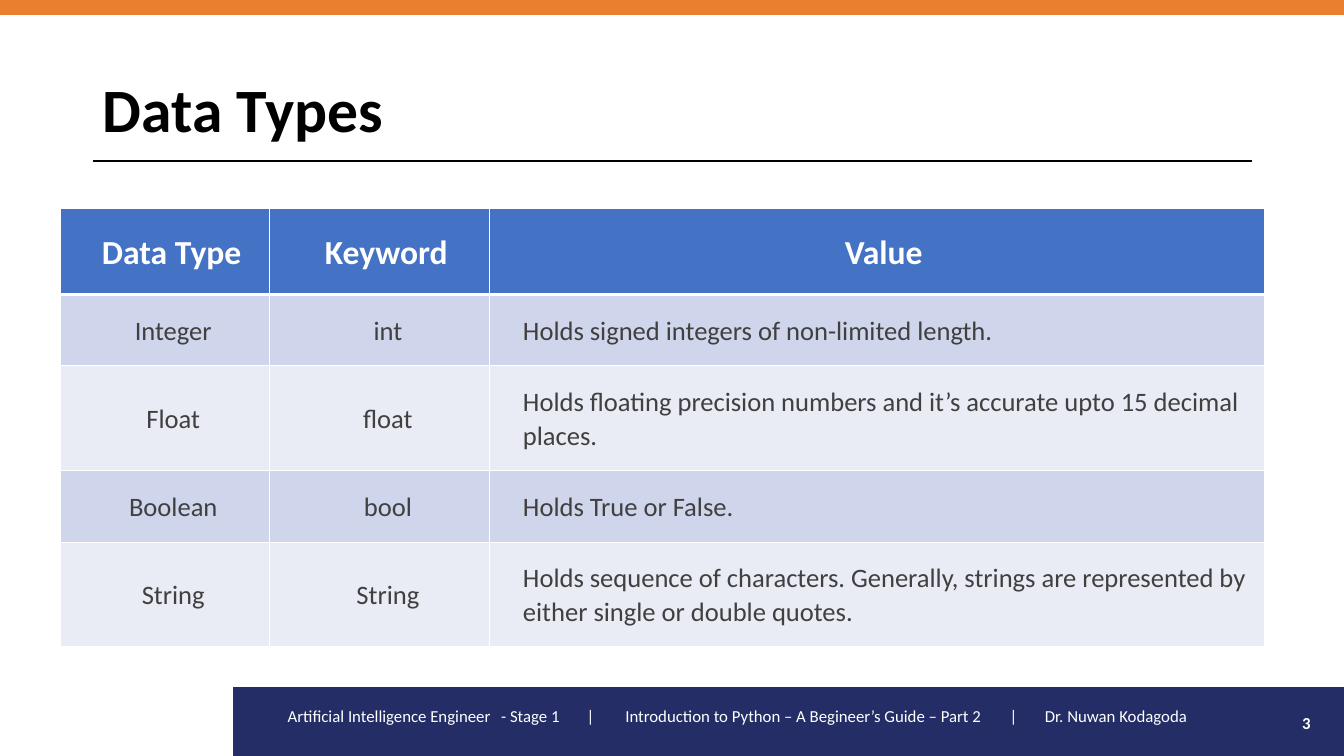
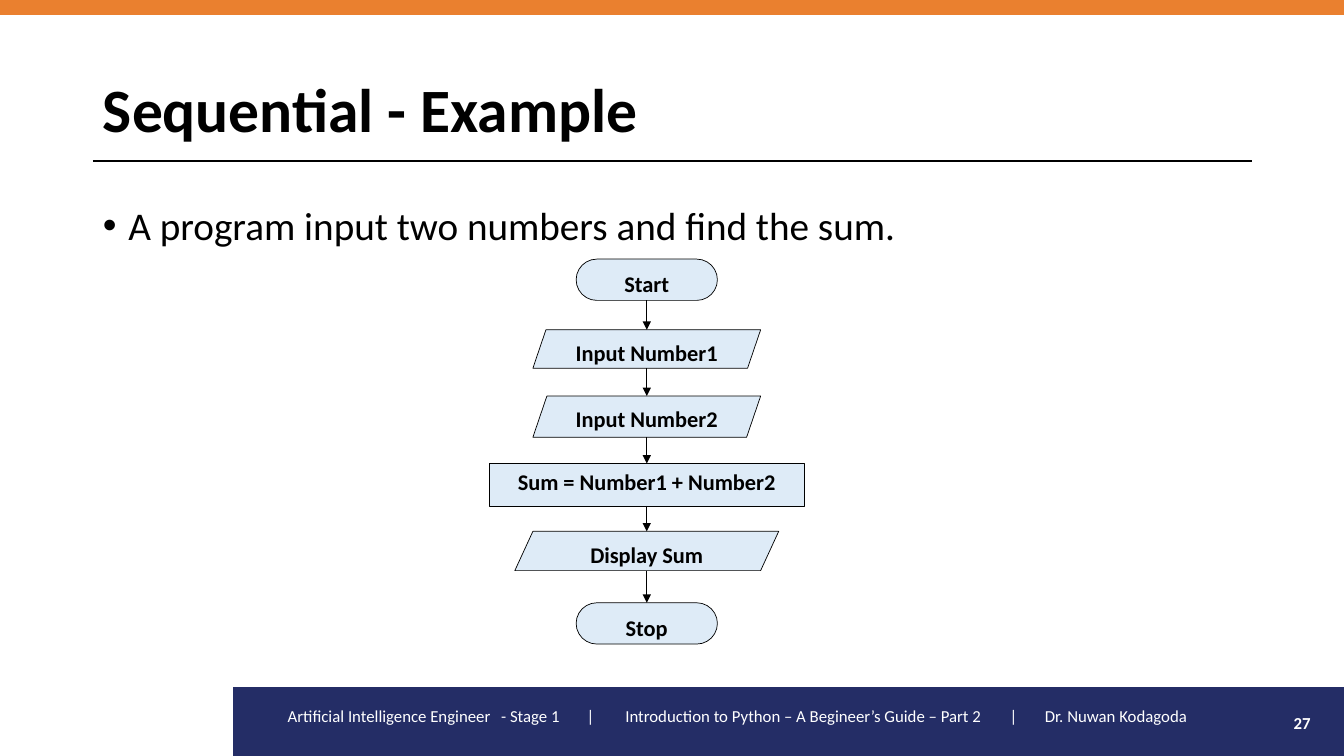
from dataclasses import dataclass
from itertools import pairwise

from lxml.etree import SubElement
from pptx import Presentation
from pptx.dml.color import RGBColor
from pptx.enum.shapes import MSO_CONNECTOR, MSO_SHAPE
from pptx.enum.text import MSO_ANCHOR, PP_ALIGN
from pptx.oxml.ns import qn
from pptx.util import Cm, Pt


@dataclass(frozen=True)
class Theme:
    font: str = "Calibri"
    ink: str = "000000"
    paper: str = "FFFFFF"
    navy: str = "242D66"
    orange: str = "EA802F"
    header: str = "4472C4"
    cell_ink: str = "404040"
    row_bands: tuple = ("CFD5EA", "E9EBF5")
    step: str = "DEEBF7"
    title_size: int = 44
    body_size: int = 28
    header_size: int = 24
    cell_size: int = 19
    step_size: int = 16
    footer_size: int = 12


THEME = Theme()
SLIDE_WIDTH, SLIDE_HEIGHT = 33.87, 19.05
MARGIN, CONTENT_WIDTH = 2.34, 29.21
BAND_LEFT, BAND_TOP = 5.89, 17.32
FLOW_CENTRE = 16.3

FOOTER = ("Artificial Intelligence Engineer\t- Stage 1\t|\t"
          "Introduction to Python – A Begineer’s Guide – Part 2\t|\t"
          "Dr. Nuwan Kodagoda")
FOOTER_TABS = [(5.38, "l"), (7.63, "ctr"), (8.51, "l"), (18.29, "ctr"), (19.08, "l")]

TYPE_COLUMNS = [5.28, 5.54, 19.53]
TYPE_ROW_HEIGHTS = [2.16, 1.8, 2.64, 1.8, 2.64]
TYPE_ROWS = [
    ("Data Type", "Keyword", "Value"),
    ("Integer", "int", "Holds signed integers of non-limited length."),
    ("Float", "float",
     "Holds floating precision numbers and it’s accurate upto 15 decimal places."),
    ("Boolean", "bool", "Holds True or False."),
    ("String", "String",
     "Holds sequence of characters. Generally, strings are represented by "
     "either single or double quotes."),
]

# Text, outline, adjustment, top, width, height
FLOW_STEPS = [
    ("Start", MSO_SHAPE.ROUNDED_RECTANGLE, 0.5, 6.53, 3.56, 1.04),
    ("Input Number1", MSO_SHAPE.PARALLELOGRAM, 0.34, 8.31, 5.74, 0.97),
    ("Input Number2", MSO_SHAPE.PARALLELOGRAM, 0.34, 9.98, 5.74, 1.04),
    ("Sum = Number1 + Number2", MSO_SHAPE.RECTANGLE, None, 11.68, 7.92, 1.07),
    ("Display Sum", MSO_SHAPE.PARALLELOGRAM, 0.46, 13.39, 6.65, 0.99),
    ("Stop", MSO_SHAPE.ROUNDED_RECTANGLE, 0.5, 15.19, 3.56, 1.04),
]


# Formatting helpers
def apply(target, formats):
    for name, value in formats.items():
        setattr(target, name, value)


def rgb(code):
    return RGBColor.from_string(code)


def write(frame, text, size, color, bold=False, **paragraph_formats):
    paragraph = frame.paragraphs[0]
    apply(paragraph, paragraph_formats)
    run = paragraph.add_run()
    run.text = text
    apply(run.font, {"name": THEME.font, "size": Pt(size), "bold": bold})
    run.font.color.rgb = rgb(color)
    return paragraph


def place(part, left, top, width, height):
    apply(part, {"left": Cm(left), "top": Cm(top),
                 "width": Cm(width), "height": Cm(height)})


# Element kinds
def add_block(slide, outline, box, fill, line, line_width):
    block = slide.shapes.add_shape(outline, *map(Cm, box))
    block.shadow.inherit = False
    block.fill.solid()
    block.fill.fore_color.rgb = rgb(fill)
    block.line.color.rgb = rgb(line)
    block.line.width = Pt(line_width)
    return block


def add_line(slide, start, end, width, arrow=False):
    line = slide.shapes.add_connector(MSO_CONNECTOR.STRAIGHT, *start, *end)
    line.line.color.rgb = rgb(THEME.ink)
    line.line.width = Pt(width)
    if arrow:
        SubElement(line.line._get_or_add_ln(), qn("a:tailEnd"), type="triangle")
    SubElement(line.element.spPr, qn("a:effectLst"))
    return line


def add_label(slide, box, text, **formats):
    label = slide.shapes.add_textbox(*map(Cm, box))
    apply(label.text_frame, {"word_wrap": True, "vertical_anchor": MSO_ANCHOR.MIDDLE})
    return write(label.text_frame, text, THEME.footer_size, THEME.paper, **formats)


def add_title(slide, text):
    title = slide.shapes.title
    place(title, MARGIN, 0.99, CONTENT_WIDTH, 3.68)
    title.text_frame.vertical_anchor = MSO_ANCHOR.MIDDLE
    write(title.text_frame, text, THEME.title_size, THEME.ink, True,
          alignment=PP_ALIGN.LEFT, line_spacing=0.9)


def add_bullet(slide, text):
    body = slide.placeholders[1]
    place(body, MARGIN, 5.08, CONTENT_WIDTH, 12.09)
    paragraph = write(body.text_frame, text, THEME.body_size, THEME.ink,
                      line_spacing=0.9, space_before=Pt(10))
    properties = paragraph._p.get_or_add_pPr()
    apply_indent = {"marL": Cm(0.64), "indent": -Cm(0.64)}
    for name, value in apply_indent.items():
        properties.set(name, str(value))
    SubElement(properties, qn("a:buChar"), char="•")


def add_cell_borders(cell, widths):
    properties = cell._tc.get_or_add_tcPr()
    for side, width in widths.items():
        border = SubElement(properties, qn(f"a:ln{side}"), w=str(Pt(width)))
        SubElement(SubElement(border, qn("a:solidFill")), qn("a:srgbClr"),
                   val=THEME.paper)


def fill_cell(cell, text, row, column):
    is_header = row == 0
    add_cell_borders(cell, {"L": 1, "R": 1, "T": 3 if row == 1 else 1,
                            "B": 3 if is_header else 1})
    cell.fill.solid()
    cell.fill.fore_color.rgb = rgb(
        THEME.header if is_header else THEME.row_bands[(row - 1) % 2])
    inset = Cm(0.51 if is_header else 0.43)
    apply(cell, {"vertical_anchor": MSO_ANCHOR.MIDDLE, "margin_left": Cm(0.84),
                 "margin_right": inset, "margin_top": inset, "margin_bottom": inset})
    centred = is_header or column < 2
    write(cell.text_frame, text,
          THEME.header_size if is_header else THEME.cell_size,
          THEME.paper if is_header else THEME.cell_ink, is_header,
          alignment=PP_ALIGN.CENTER if centred else PP_ALIGN.LEFT,
          line_spacing=1.07, space_after=Pt(8))


def add_type_table(slide):
    table = slide.shapes.add_table(
        len(TYPE_ROWS), len(TYPE_COLUMNS), Cm(1.52), Cm(5.26),
        Cm(sum(TYPE_COLUMNS)), Cm(sum(TYPE_ROW_HEIGHTS))).table
    for column, width in zip(table.columns, TYPE_COLUMNS):
        column.width = Cm(width)
    for row, height in zip(table.rows, TYPE_ROW_HEIGHTS):
        row.height = Cm(height)
    for row, texts in enumerate(TYPE_ROWS):
        for column, text in enumerate(texts):
            fill_cell(table.cell(row, column), text, row, column)


def add_step(slide, text, outline, adjustment, top, width, height):
    box = (FLOW_CENTRE - width / 2, top, width, height)
    step = add_block(slide, outline, box, THEME.step, THEME.ink, 0.5)
    if adjustment is not None:
        step.adjustments[0] = adjustment
    apply(step.text_frame, {"word_wrap": True, "vertical_anchor": MSO_ANCHOR.TOP})
    write(step.text_frame, text, THEME.step_size, THEME.ink, True,
          alignment=PP_ALIGN.CENTER)
    return step


def add_flowchart(slide):
    steps = [add_step(slide, *step) for step in FLOW_STEPS]
    for upper, lower in pairwise(steps):
        arrow = add_line(slide, (Cm(FLOW_CENTRE), upper.top + upper.height),
                         (Cm(FLOW_CENTRE), lower.top), 0.5, arrow=True)
        # Parallelograms number their connection sites differently
        if upper.auto_shape_type != MSO_SHAPE.PARALLELOGRAM:
            arrow.begin_connect(upper, 2)
        if lower.auto_shape_type != MSO_SHAPE.PARALLELOGRAM:
            arrow.end_connect(lower, 0)


# Shared look, drawn once and moved to the slide master
def furnish_master(master, slide):
    first = len(slide.shapes)
    add_block(slide, MSO_SHAPE.RECTANGLE,
              (BAND_LEFT, BAND_TOP, SLIDE_WIDTH - BAND_LEFT, SLIDE_HEIGHT - BAND_TOP),
              THEME.navy, THEME.navy, 1)
    add_block(slide, MSO_SHAPE.RECTANGLE, (0, 0, SLIDE_WIDTH, 0.36),
              THEME.orange, THEME.orange, 1)
    add_line(slide, (Cm(MARGIN), Cm(4.06)),
             (Cm(MARGIN + CONTENT_WIDTH), Cm(4.06)), 1)
    footer = add_label(slide, (7, 17.53, 24.1, 1.02), FOOTER)
    tabs = SubElement(footer._p.get_or_add_pPr(), qn("a:tabLst"))
    for position, alignment in FOOTER_TABS:
        SubElement(tabs, qn("a:tab"), pos=str(Cm(position)), algn=alignment)
    for number, part in enumerate(list(slide.shapes)[first:], 101):
        part.element.xpath(".//p:cNvPr")[0].set("id", str(number))
        master.shapes.element.append(part.element)


def add_slide(deck, layout, title, number):
    slide = deck.slides.add_slide(deck.slide_layouts[layout])
    add_title(slide, title)
    add_label(slide, (MARGIN + CONTENT_WIDTH, 17.7, 1.73, 1.02), number,
              bold=True, alignment=PP_ALIGN.RIGHT)
    return slide


def main():
    deck = Presentation()
    apply(deck, {"slide_width": Cm(SLIDE_WIDTH), "slide_height": Cm(SLIDE_HEIGHT)})

    # Data types
    data_types = add_slide(deck, 5, "Data Types", "3")
    furnish_master(deck.slide_master, data_types)
    add_type_table(data_types)

    # Sequential flowchart
    sequential = add_slide(deck, 1, "Sequential - Example", "27")
    add_bullet(sequential, "A program input two numbers and find the sum.")
    add_flowchart(sequential)

    deck.save("out.pptx")


if __name__ == "__main__":
    main()
